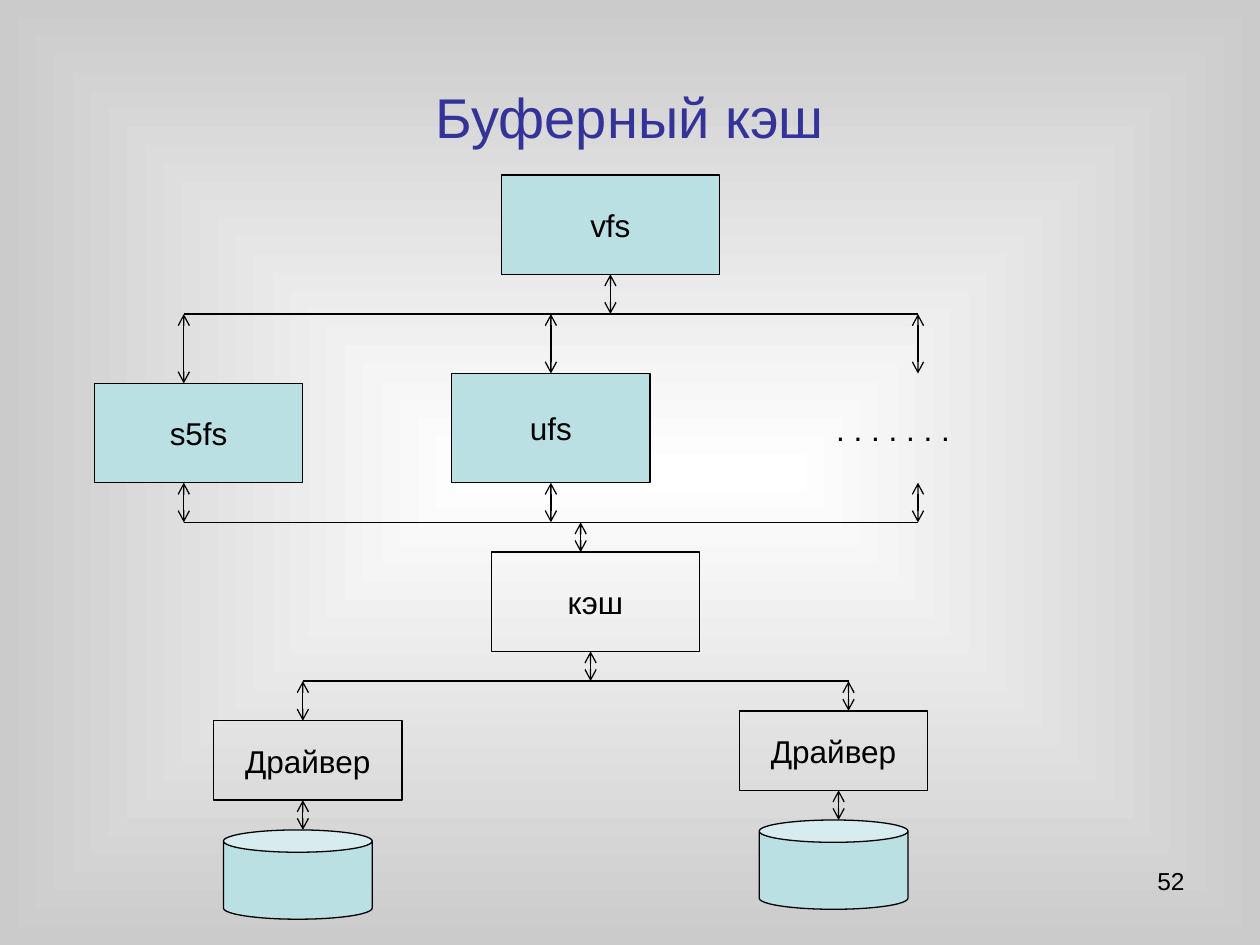
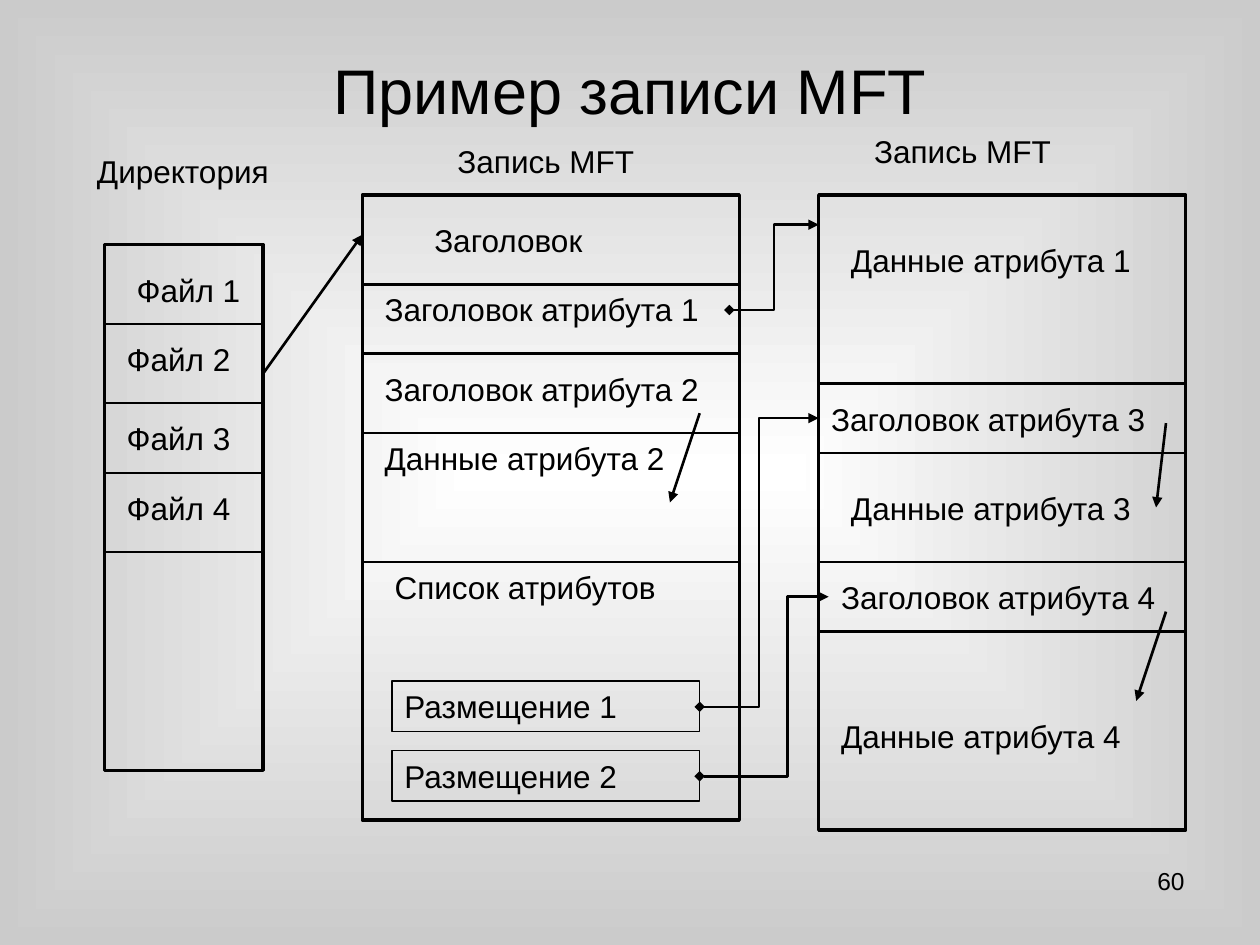
import pptx
import pptx.dml.color
import pptx.enum.shapes
import pptx.enum.text
import pptx.oxml.ns
import pptx.util
from lxml import etree

COLORS = {"ink": "000000", "title": "333399", "storage": "BBE0E3",
          "center": "FFFFFF", "edge": "CBCBCB"}
FONT = "Arial"
WIDTH, HEIGHT = pptx.util.Inches(10), pptx.util.Inches(7.5)

# Drawing grid: 2 mm cells counted from the corner of the diagram area
CELL = pptx.util.Mm(2)
LEFT, TOP = pptx.util.Inches(0.75), pptx.util.Inches(1.39)
LABEL_ROWS = 5.1

# Slide 1: layers as (label, col, row, columns, rows, fill)
LAYERS = [
    ("vfs", 41, 0, 22, 10, "storage"),
    ("s5fs", 0, 21, 21, 10, "storage"),
    ("ufs", 36, 20, 20, 11, "storage"),
    ("кэш", 40, 38, 21, 10, None),
    ("Драйвер", 12, 55, 19, 8, None),
    ("Драйвер", 65, 54, 19, 8, None),
]
DISKS = [(13, 66), (67, 65)]
BUSES = [(9, 83, 14), (9, 83, 35), (21, 76, 51)]  # first col, last col, row
LINKS = [  # col, first row, last row
    (52, 10, 14), (9, 14, 21), (46, 14, 20), (83, 14, 20),
    (9, 31, 35), (46, 31, 35), (83, 31, 35), (49, 35, 38),
    (50, 48, 51), (21, 51, 55), (76, 51, 54), (21, 63, 66), (75, 62, 65),
]

# Slide 2: tables with frame (col, row, columns, rows), dividing rows, and
# entries as (text, col, row)
TABLES = [
    {"heading": ("Директория", -1, -3, "left"), "frame": (1, 7, 16, 53),
     "rules": [15, 23, 30, 38], "rule_width": 1,
     "entries": [("Файл 1", 3, 9), ("Файл 2", 2, 16), ("Файл 3", 2, 24),
                 ("Файл 4", 2, 31)]},
    {"heading": ("Запись MFT", 34, -4, "center"), "frame": (27, 2, 38, 63),
     "rules": [11, 18, 26, 39], "rule_width": 1.5,
     "entries": [("Заголовок", 33, 4), ("Заголовок атрибута 1", 28, 11),
                 ("Заголовок атрибута 2", 28, 19),
                 ("Данные атрибута 2", 28, 26),
                 ("Список атрибутов", 29, 39)]},
    {"heading": ("Запись MFT", 76, -5, "center"), "frame": (73, 2, 37, 64),
     "rules": [21, 28, 39, 46], "rule_width": 1.5,
     "entries": [("Данные атрибута 1", 75, 6),
                 ("Заголовок атрибута 3", 73, 22),
                 ("Данные атрибута 3", 75, 31),
                 ("Заголовок атрибута 4", 74, 40),
                 ("Данные атрибута 4", 74, 54)]},
]
PLACEMENTS = [("Размещение 1", 51), ("Размещение 2", 58)]
POINTERS = [((17, 20), (27, 6)), ((61, 24), (58, 33)),
            ((108, 25), (107, 33.5)), ((108, 44), (105, 53))]
REFERENCES = [  # from, to, share of the width where the line turns
    ((64, 13.6), (73, 5), 0.5),
    ((61, 53.6), (73, 24.5), 0.5),
    ((61, 60.6), (74, 42.5), 0.68),
]

SHAPES = pptx.enum.shapes.MSO_SHAPE
CONNECTORS = pptx.enum.shapes.MSO_CONNECTOR
ANCHOR = pptx.enum.text.MSO_ANCHOR
ALIGN = {"left": pptx.enum.text.PP_ALIGN.LEFT,
         "center": pptx.enum.text.PP_ALIGN.CENTER,
         "right": pptx.enum.text.PP_ALIGN.RIGHT}
qn = pptx.oxml.ns.qn


def rgb(name):
    return pptx.dml.color.RGBColor.from_string(COLORS[name])


def point(col, row):
    return int(LEFT + col * CELL), int(TOP + row * CELL)


def cells(col, row, columns, rows):
    return *point(col, row), int(columns * CELL), int(rows * CELL)


def shares(left, top, width, height):
    return (int(left * WIDTH), int(top * HEIGHT),
            int(width * WIDTH), int(height * HEIGHT))


def write(shape, text, size=18, color="ink", align="left", middle=False):
    frame = shape.text_frame
    frame.word_wrap = True
    frame.vertical_anchor = ANCHOR.MIDDLE if middle else ANCHOR.TOP
    paragraph = frame.paragraphs[0]
    paragraph.alignment = ALIGN[align]
    run = paragraph.add_run()
    run.text = text
    run.font.name, run.font.size = FONT, pptx.util.Pt(size)
    run.font.color.rgb = rgb(color)


def label(slide, text, box, **style):
    write(slide.shapes.add_textbox(*box), text, **style)


def block(slide, kind, box, fill=None, width=0.75):
    shape = slide.shapes.add_shape(kind, *box)
    shape.shadow.inherit = False
    if fill:
        shape.fill.solid()
        shape.fill.fore_color.rgb = rgb(fill)
    else:
        shape.fill.background()
    shape.line.color.rgb = rgb("ink")
    shape.line.width = pptx.util.Pt(width)
    return shape


def line(slide, start, end, width=0.75, head=None, tail=None, turn=None):
    kind = CONNECTORS.ELBOW if turn else CONNECTORS.STRAIGHT
    connector = slide.shapes.add_connector(kind, *point(*start), *point(*end))
    connector.line.color.rgb = rgb("ink")
    connector.line.width = pptx.util.Pt(width)
    properties = connector.element.spPr
    outline = properties.find(qn("a:ln"))
    for tag, arrow in (("a:headEnd", head), ("a:tailEnd", tail)):
        if arrow:
            etree.SubElement(outline, qn(tag), type=arrow)
    etree.SubElement(properties, qn("a:effectLst"))
    if turn:
        geometry = properties.find(qn("a:prstGeom"))
        guides = geometry.find(qn("a:avLst"))
        if guides is None:
            guides = etree.SubElement(geometry, qn("a:avLst"))
        etree.SubElement(guides, qn("a:gd"), name="adj1",
                         fmla=f"val {round(turn * 100000)}")


def paint_background(master):
    fill = master.background.fill
    fill.gradient()
    for stop, name in zip(fill.gradient_stops, ("center", "edge")):
        stop.color.rgb = rgb(name)
    gradient = master.element.find(".//" + qn("p:bgPr")).find(qn("a:gradFill"))
    linear = gradient.find(qn("a:lin"))
    if linear is not None:
        gradient.remove(linear)
    focus = etree.SubElement(gradient, qn("a:path"))
    focus.set("path", "shape")
    etree.SubElement(focus, qn("a:fillToRect"),
                     {side: "50000" for side in "ltrb"})


def new_slide(deck, title, number, title_share, **title_style):
    slide = deck.slides.add_slide(deck.slide_layouts[6])
    label(slide, title, shares(0.05, 0.04, 0.9, title_share),
          align="center", middle=True, **title_style)
    label(slide, number, shares(0.72, 0.91, 0.23, 0.07),
          size=14, align="right")
    return slide


def build_cache(deck):
    slide = new_slide(deck, "Буферный кэш", "52", 1 / 6, size=32, color="title")
    for name, col, row, columns, rows, fill in LAYERS:
        layer = block(slide, SHAPES.RECTANGLE, cells(col, row, columns, rows), fill)
        write(layer, name, align="center", middle=True)
    label(slide, ". . . . . . .", cells(65.5, 23, 30, LABEL_ROWS), align="center")
    for col, row in DISKS:
        block(slide, SHAPES.CAN, cells(col, row, 15, 9), "storage")
    for first, last, row in BUSES:
        line(slide, (first, row), (last, row))
    for col, first, last in LINKS:
        line(slide, (col, first), (col, last), head="arrow", tail="arrow")


def build_mft(deck):
    slide = new_slide(deck, "Пример записи MFT", "60", 0.11, size=36)
    # Tables
    for table in TABLES:
        heading, heading_col, heading_row, align = table["heading"]
        label(slide, heading, cells(heading_col, heading_row, 23, LABEL_ROWS),
              align=align)
        col, row, columns, rows = table["frame"]
        block(slide, SHAPES.RECTANGLE, cells(col, row, columns, rows), width=2)
        for rule in table["rules"]:
            line(slide, (col, rule), (col + columns, rule), table["rule_width"])
        for text, text_col, text_row in table["entries"]:
            label(slide, text, cells(text_col, text_row,
                                     col + columns - text_col, LABEL_ROWS))
    for text, row in PLACEMENTS:
        placement = block(slide, SHAPES.RECTANGLE, cells(30, row, 31, LABEL_ROWS))
        write(placement, text)
    # Arrows
    for start, end in POINTERS:
        line(slide, start, end, 1.5, tail="triangle")
    for start, end, turn in REFERENCES:
        line(slide, start, end, 1.5, head="diamond", tail="triangle", turn=turn)


def main():
    deck = pptx.Presentation()
    deck.slide_width, deck.slide_height = WIDTH, HEIGHT
    paint_background(deck.slide_master)
    build_cache(deck)
    build_mft(deck)
    deck.save("out.pptx")


if __name__ == "__main__":
    main()
